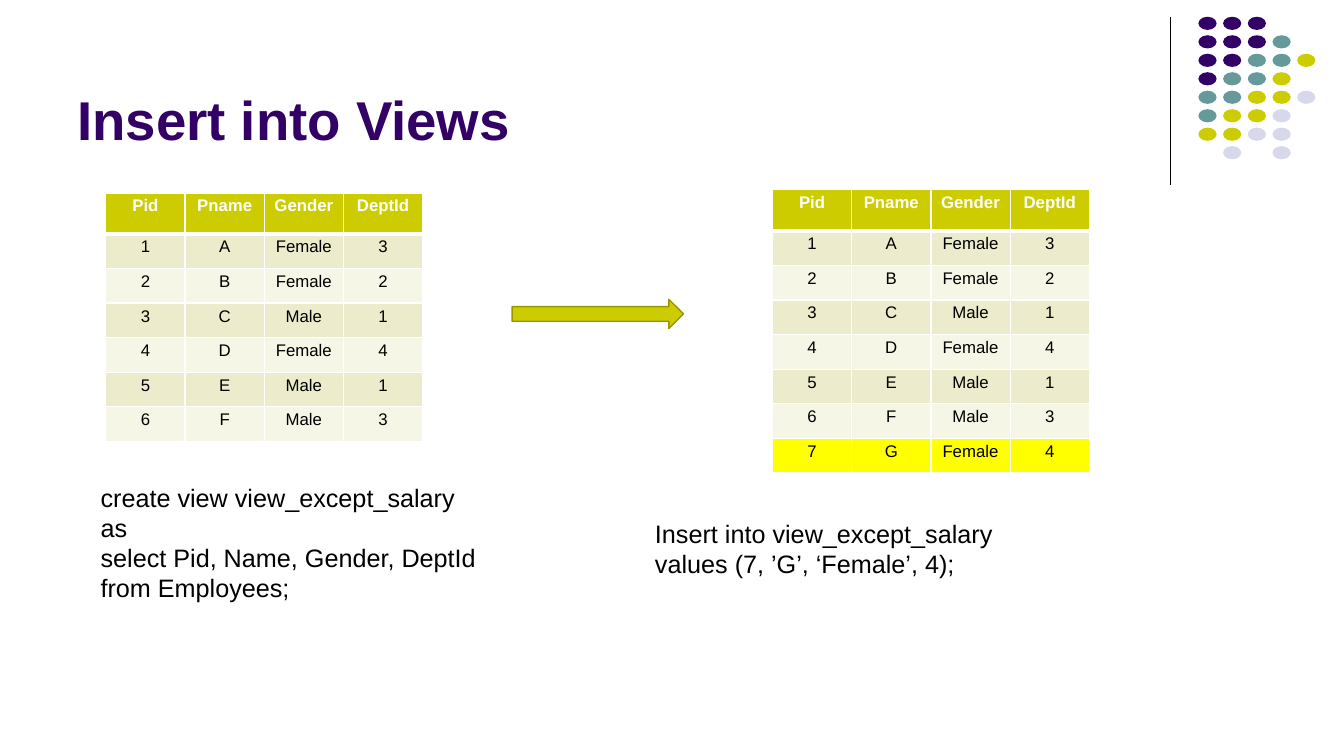
"""Build the slide that shows a row being inserted through a view."""
from lxml.etree import SubElement
from pptx import Presentation
from pptx.dml.color import RGBColor
from pptx.enum.shapes import MSO_CONNECTOR as Connector, MSO_SHAPE as Shape
from pptx.enum.text import MSO_ANCHOR as Anchor, MSO_AUTO_SIZE as AutoSize, PP_ALIGN as Align
from pptx.oxml import parse_xml
from pptx.oxml.ns import nsdecls, qn
from pptx.util import Pt

COLORS = {
    "purple": "330066", "teal": "669999", "olive": "CCCC00", "lavender": "D8D8EC",
    "olive_edge": "979700", "odd_row": "ECECCC", "even_row": "F6F6E7",
    "new_row": "FFFF00", "black": "000000", "white": "FFFFFF",
}

TITLE = "Insert into Views"
HEADER = ("Pid", "Pname", "Gender", "DeptId")
PEOPLE = [
    ("1", "A", "Female", "3"),
    ("2", "B", "Female", "2"),
    ("3", "C", "Male", "1"),
    ("4", "D", "Female", "4"),
    ("5", "E", "Male", "1"),
    ("6", "F", "Male", "3"),
]
NEW_PERSON = ("7", "G", "Female", "4")
VIEWS = [
    {"left": 75.6, "top": 137.8, "people": PEOPLE, "new": None},
    {"left": 551.8, "top": 135.6, "people": PEOPLE + [NEW_PERSON], "new": NEW_PERSON},
]
STATEMENTS = [
    ((64.8, 340.6, 379.4, 94.3), [
        "create view view_except_salary",
        "as",
        "select Pid, Name, Gender, DeptId",
        "from Employees;",
    ]),
    ((460.8, 366.5, 379.4, 51.1), [
        "Insert into view_except_salary",
        "values (7, ’G’, ‘Female’, 4);",
    ]),
]
DOT_ROWS = ["PPP", "PPPT", "PPTTY", "PTTY", "TTYYL", "TYYL", "YYLL", " L L"]
DOT_COLORS = {"P": "purple", "T": "teal", "Y": "olive", "L": "lavender"}

DOT_LEFT, DOT_TOP = 856, 12
DOT_STEP_X, DOT_STEP_Y = 17.64, 13.2
DOT_WIDTH, DOT_HEIGHT = 13, 9.4
COLUMN_WIDTH, HEADER_HEIGHT, ROW_HEIGHT = 56.6, 29.2, 24.74


def rgb(name):
    return RGBColor.from_string(COLORS[name])


def write(frame, lines, size=18, color="black", bold=False, align=Align.LEFT):
    frame.text = "\n".join(lines)
    for paragraph in frame.paragraphs:
        paragraph.alignment = align
        font = paragraph.runs[0].font
        font.name, font.size, font.bold = "Arial", Pt(size), bold
        font.color.rgb = rgb(color)


def add_figure(shapes, kind, box, fill, edge=None):
    figure = shapes.add_shape(kind, *map(Pt, box))
    figure.shadow.inherit = False
    figure.fill.solid()
    figure.fill.fore_color.rgb = rgb(fill)
    if edge:
        figure.line.color.rgb = rgb(edge)
        figure.line.width = Pt(1)
    else:
        figure.line.fill.background()


def add_borders(cell, **widths):
    properties = cell._tc.get_or_add_tcPr()
    for position, side in enumerate("LRTB"):
        properties.insert(position, parse_xml(
            f'<a:ln{side} {nsdecls("a")} w="{Pt(widths.get(side, 1))}"><a:solidFill>'
            f'<a:srgbClr val="{COLORS["white"]}"/></a:solidFill></a:ln{side}>'))


def add_view(slide, left, top, people, new):
    rows = [HEADER] + people
    width = COLUMN_WIDTH * len(HEADER)
    height = HEADER_HEIGHT + ROW_HEIGHT * len(people)
    table = slide.shapes.add_table(
        len(rows), len(HEADER), Pt(left), Pt(top), Pt(width), Pt(height)).table
    for column in table.columns:
        column.width = Pt(COLUMN_WIDTH)
    for index, person in enumerate(rows):
        is_header = index == 0
        table.rows[index].height = Pt(HEADER_HEIGHT if is_header else ROW_HEIGHT)
        if is_header:
            fill = "olive"
        elif person == new:
            fill = "new_row"
        else:
            fill = "odd_row" if index % 2 else "even_row"
        for cell, value in zip(table.rows[index].cells, person):
            cell.margin_left = cell.margin_right = Pt(5.4)
            cell.margin_top = cell.margin_bottom = Pt(2.7)
            cell.fill.solid()
            cell.fill.fore_color.rgb = rgb(fill)
            write(cell.text_frame, [value], size=12, bold=is_header, align=Align.CENTER,
                  color="white" if is_header else "black")
            add_borders(cell, T=3 if index == 1 else 1, B=3 if is_header else 1)


def add_ornament(slide):
    rule = slide.shapes.add_connector(
        Connector.STRAIGHT, Pt(836), Pt(12), Pt(836), Pt(132))
    rule.line.color.rgb = rgb("black")
    rule.line.width = Pt(0.75)
    SubElement(rule._element.spPr, qn("a:effectLst"))
    dots = slide.shapes.add_group_shape()
    for row, pattern in enumerate(DOT_ROWS):
        for column, letter in enumerate(pattern):
            if letter in DOT_COLORS:
                box = (DOT_LEFT + column * DOT_STEP_X, DOT_TOP + row * DOT_STEP_Y,
                       DOT_WIDTH, DOT_HEIGHT)
                add_figure(dots.shapes, Shape.OVAL, box, DOT_COLORS[letter])


def main():
    deck = Presentation()
    deck.slide_width, deck.slide_height = Pt(960), Pt(540)
    slide = deck.slides.add_slide(deck.slide_layouts[5])
    add_ornament(slide)

    title = slide.shapes.title
    title.left, title.top, title.width, title.height = map(Pt, (48, 9.4, 792, 102.2))
    title.text_frame.vertical_anchor = Anchor.BOTTOM
    title.text_frame.auto_size = AutoSize.NONE
    write(title.text_frame, [TITLE], size=39, color="purple", bold=True)

    for box, lines in STATEMENTS:
        frame = slide.shapes.add_textbox(*map(Pt, box)).text_frame
        frame.word_wrap = True
        frame.auto_size = AutoSize.SHAPE_TO_FIT_TEXT
        write(frame, lines)

    add_figure(slide.shapes, Shape.RIGHT_ARROW, (365.8, 213.8, 122.4, 20.9),
               "olive", edge="olive_edge")
    for view in VIEWS:
        add_view(slide, **view)
    deck.save("out.pptx")


if __name__ == "__main__":
    main()
